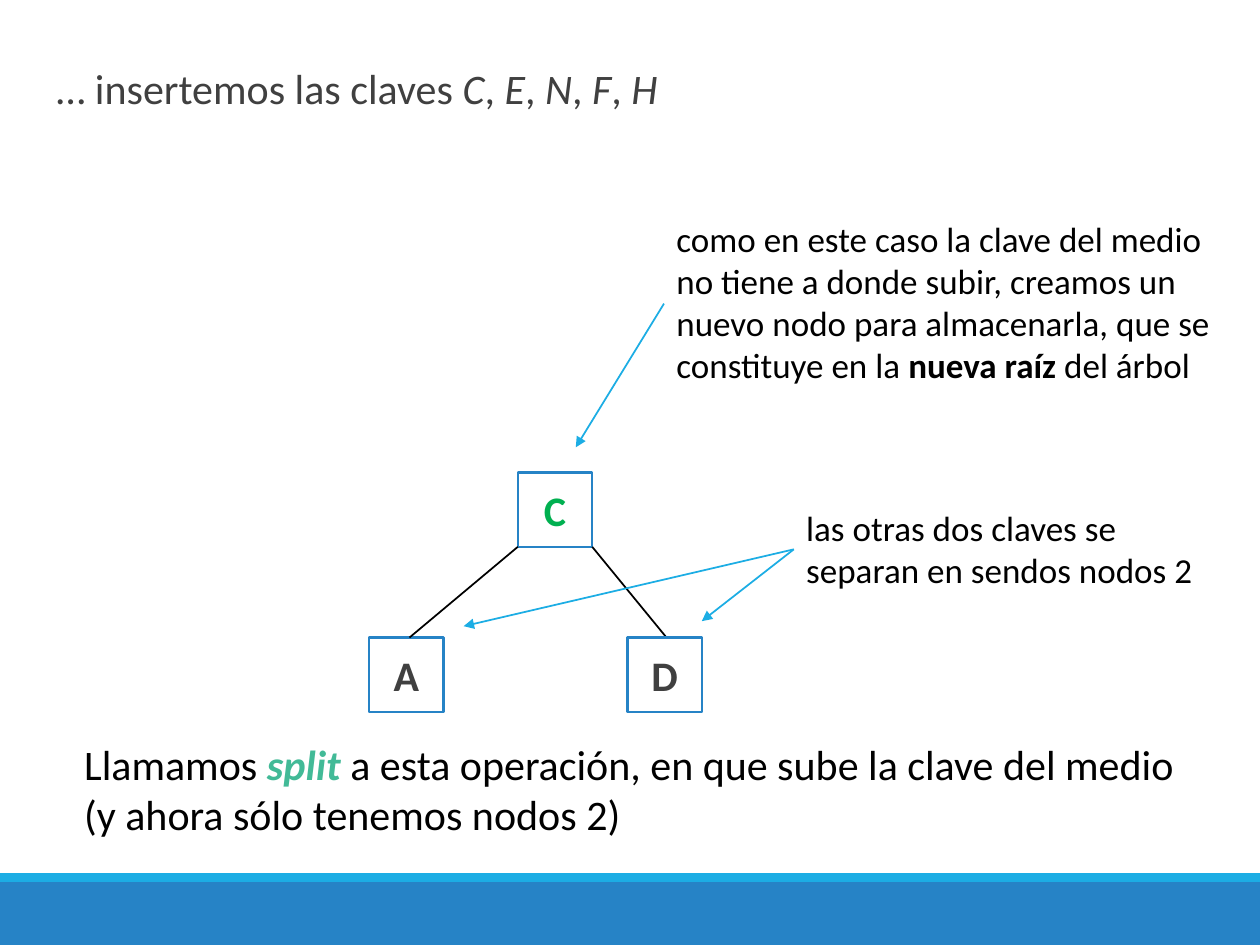
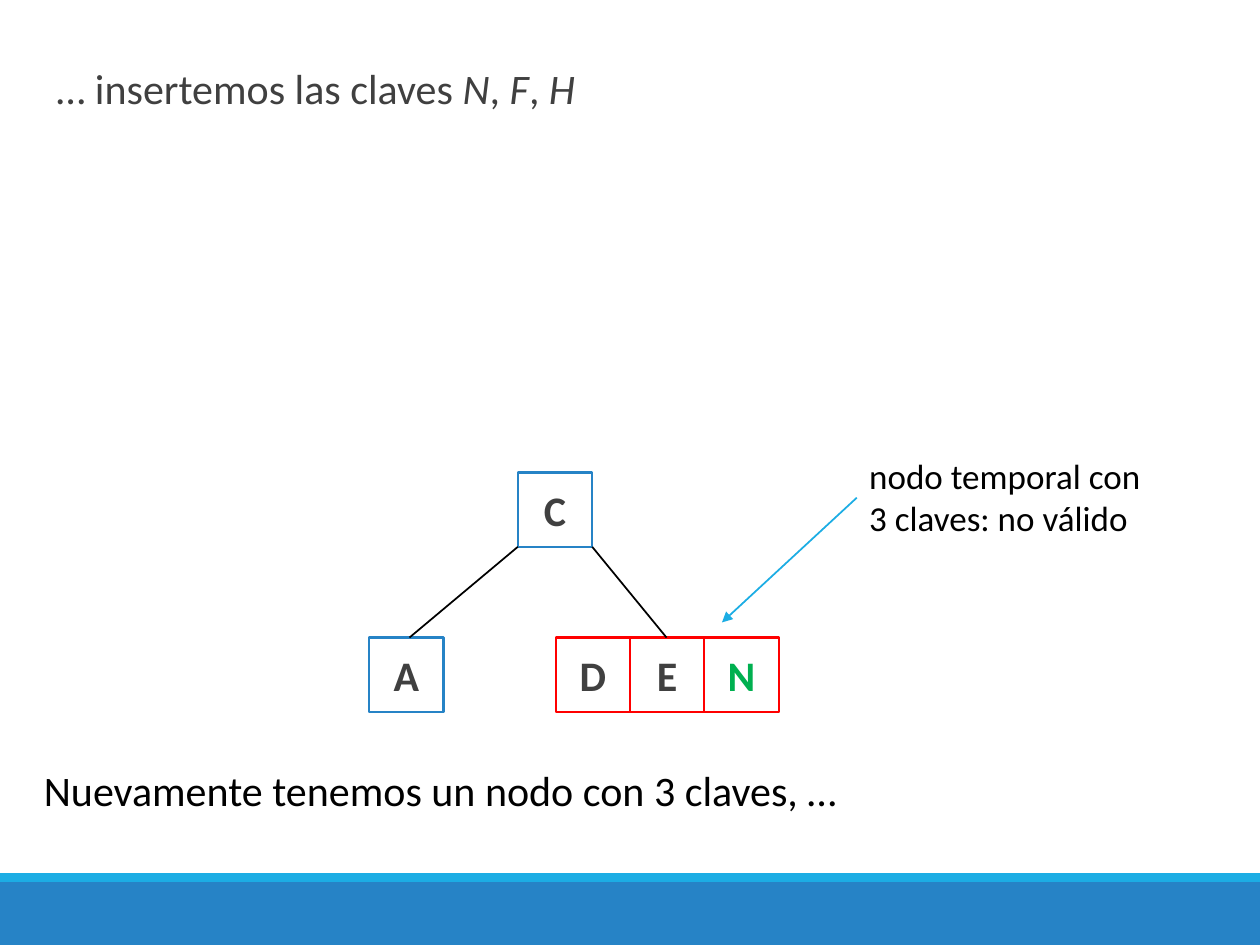
from lxml import etree
from pptx import Presentation
from pptx.dml.color import RGBColor
from pptx.enum.shapes import MSO_CONNECTOR, MSO_SHAPE
from pptx.enum.text import MSO_ANCHOR, PP_ALIGN
from pptx.oxml.ns import qn
from pptx.util import Inches, Pt

RECT = MSO_SHAPE.RECTANGLE
LINE = MSO_CONNECTOR.STRAIGHT
MIDDLE = MSO_ANCHOR.MIDDLE
CENTER = PP_ALIGN.CENTER

FONT = "Calibri"
BLUE, SKY, RED = "2683C6", "1CADE4", "FF0000"
GREEN, MINT = "00B050", "42BA97"
BLACK, GRAY, WHITE = "000000", "404040", "FFFFFF"

SIDE = 0.59                # side of one key cell
ROOT = (4.11, 3.75)
LEAF_TOP = 5.06
LEFT_X = 2.93              # cell of the left leaf


def rgb(code):
    return RGBColor.from_string(code)


def write(para, parts, size, color):
    """Fill a paragraph with (text, style) parts; style holds b, i or neither."""
    for text, style in parts:
        run = para.add_run()
        run.text = text
        font = run.font
        font.name, font.size = FONT, Pt(size)
        font.bold, font.italic = "b" in style, "i" in style
        font.color.rgb = rgb(MINT if style == "bi" else color)


def add_text(slide, box, lines, size, color=BLACK, wrap=True):
    """Add a text box with one paragraph per list of parts."""
    frame = slide.shapes.add_textbox(*map(Inches, box)).text_frame
    frame.word_wrap = wrap
    for n, parts in enumerate(lines):
        para = frame.add_paragraph() if n else frame.paragraphs[0]
        write(para, parts, size, color)
    return frame


def add_rect(slide, box, fill, edge=None):
    rect = slide.shapes.add_shape(RECT, *map(Inches, box))
    rect.shadow.inherit = False
    rect.fill.solid()
    rect.fill.fore_color.rgb = rgb(fill)
    if edge:
        rect.line.color.rgb = rgb(edge)
        rect.line.width = Pt(1.25)
    else:
        rect.line.fill.background()
    return rect


def add_node(slide, left, top, keys, edge=BLUE, fresh=""):
    """Draw a tree node as a row of cells; the fresh key is green."""
    for n, key in enumerate(keys):
        cell = add_rect(slide, (left + n * SIDE, top, SIDE, SIDE), WHITE, edge)
        frame = cell.text_frame
        frame.vertical_anchor = MIDDLE
        para = frame.paragraphs[0]
        para.alignment = CENTER
        write(para, [(key, "b")], 24, GREEN if key == fresh else GRAY)


def add_line(slide, start, end, color=BLACK, arrow=False):
    line = slide.shapes.add_connector(LINE, *map(Inches, start + end))
    line.line.color.rgb = rgb(color)
    line.line.width = Pt(1)
    if arrow:
        etree.SubElement(line.line._get_or_add_ln(), qn("a:tailEnd"), type="triangle")
    etree.SubElement(line._element.spPr, qn("a:effectLst"))


def add_arrow(slide, start, end):
    add_line(slide, start, end, SKY, True)


def add_tree(slide, fresh=""):
    """Draw what both trees share: root C, leaf A and the two branches."""
    left, top = ROOT
    add_node(slide, left, top, "C", fresh=fresh)
    add_node(slide, LEFT_X, LEAF_TOP, "A")
    add_line(slide, (left, top + SIDE), (3.25, LEAF_TOP))
    add_line(slide, (left + SIDE, top + SIDE), (5.29, LEAF_TOP))


def add_page(deck, keys):
    """Add a slide with the bottom bands and the title naming the keys."""
    slide = deck.slides.add_slide(deck.slide_layouts[6])
    add_rect(slide, (0, 7, 10, 0.5), BLUE)
    add_rect(slide, (0, 6.93, 10, 0.07), SKY)
    parts = [("… insertemos las claves ", "")]
    for n, key in enumerate(keys):
        if n:
            parts.append((", ", ""))
        parts.append((key, "i"))
    frame = add_text(slide, (0.35, 0.25, 9.4, 0.8), [parts], 24, GRAY)
    frame.paragraphs[0].line_spacing = 1.5
    return slide


def split_page(deck):
    slide = add_page(deck, "CENFH")
    add_tree(slide, fresh="C")
    add_node(slide, 4.98, LEAF_TOP, "D")
    add_text(slide, (0.57, 5.81, 8.88, 0.91), [[
        ("Llamamos ", ""), ("split", "bi"),
        (" a esta operación, en que sube la clave del medio "
         "(y ahora sólo tenemos nodos 2)", "")]], 24)
    add_text(slide, (5.27, 1.68, 4.47, 1.45), [
        [("como en este caso la clave del medio", "")],
        [("no tiene a donde subir, creamos un", "")],
        [("nuevo nodo para almacenarla, que se", "")],
        [("constituye en la ", ""), ("nueva raíz ", "b"), ("del árbol", "")],
    ], 20, wrap=False)
    add_arrow(slide, (5.27, 2.41), (4.57, 3.55))
    add_text(slide, (6.3, 3.97, 3.31, 0.77), [
        [("las otras dos claves se separan en sendos nodos 2", "")]], 20)
    for end in (3.68, 4.97), (5.57, 4.93):
        add_arrow(slide, (6.3, 4.36), end)


def full_page(deck):
    slide = add_page(deck, "NFH")
    add_node(slide, 4.41, LEAF_TOP, "DEN", RED, fresh="N")
    add_tree(slide)
    add_text(slide, (0.25, 6.02, 9.1, 0.5), [
        [("Nuevamente tenemos un nodo con 3 claves, …", "")]], 24)
    add_text(slide, (6.8, 3.56, 2.37, 0.77), [
        [("nodo temporal con", "")],
        [("3 claves: no válido", "")]], 20, wrap=False)
    add_arrow(slide, (6.8, 3.95), (5.73, 4.94))


def main():
    deck = Presentation()
    deck.slide_width, deck.slide_height = Inches(10), Inches(7.5)
    split_page(deck)
    full_page(deck)
    deck.save("out.pptx")


if __name__ == "__main__":
    main()
